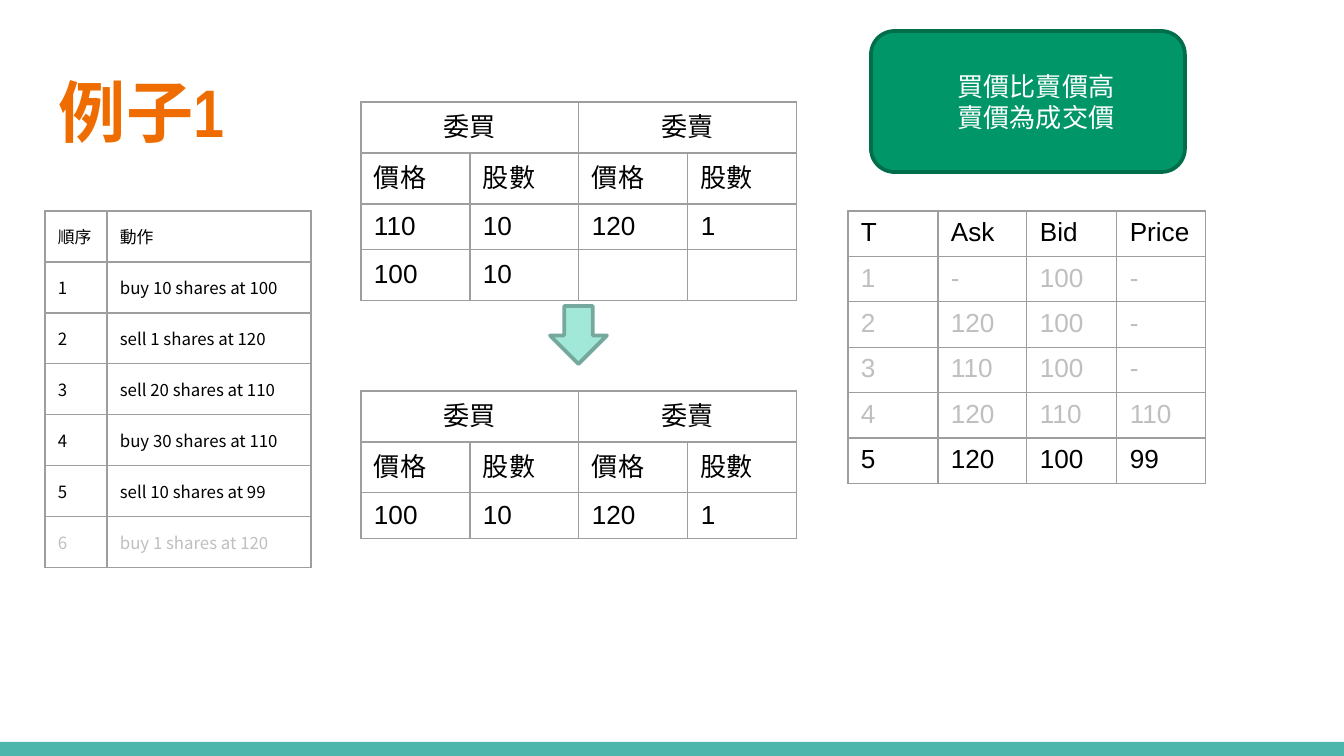
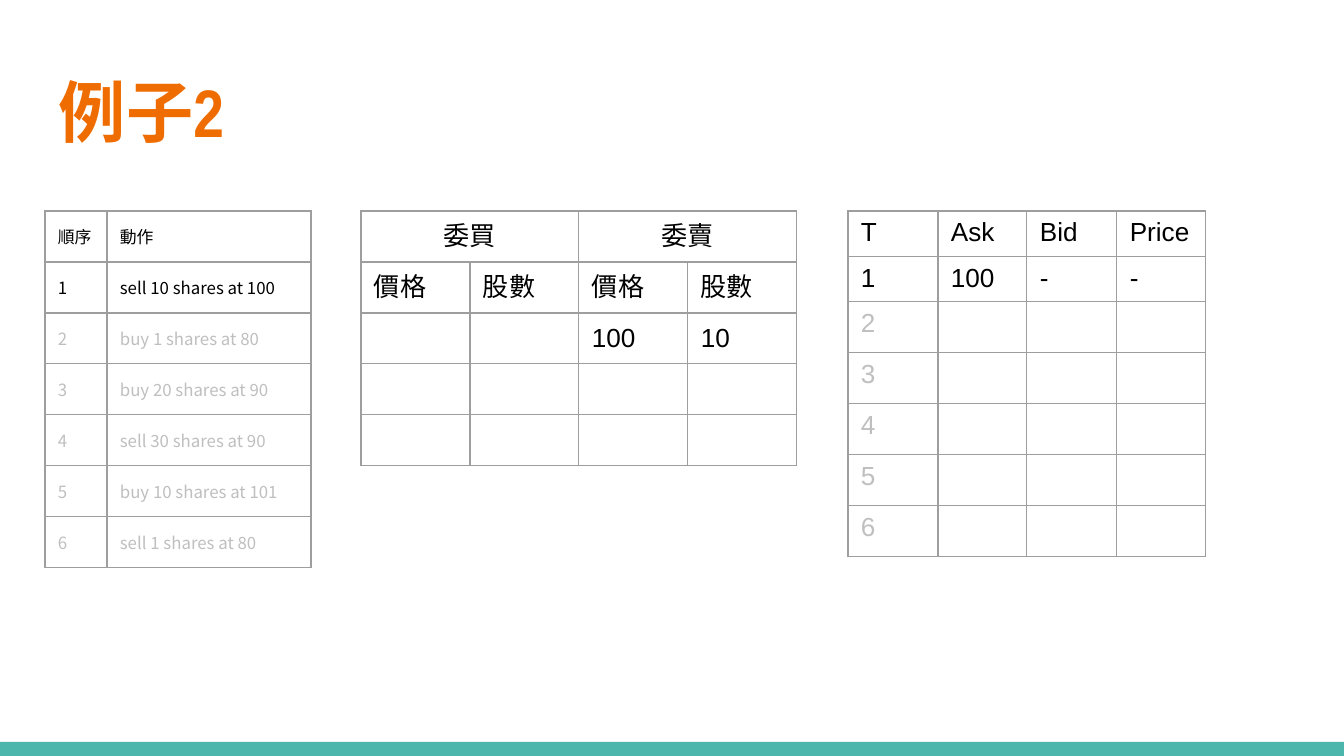
from dataclasses import dataclass

from lxml import etree
from pptx import Presentation
from pptx.dml.color import RGBColor
from pptx.enum.shapes import MSO_SHAPE
from pptx.enum.text import MSO_ANCHOR, PP_ALIGN
from pptx.oxml.ns import qn
from pptx.util import Emu, Pt

PX = 914400 / 134.4
PAGE_WIDTH, PAGE_HEIGHT = 1344, 756
BAND_HEIGHT = 14
MARGIN, NARROW_MARGIN = 13, 7

RECTANGLE = MSO_SHAPE.RECTANGLE
ROUNDED = MSO_SHAPE.ROUNDED_RECTANGLE
DOWN_ARROW = MSO_SHAPE.DOWN_ARROW
TOP, MIDDLE = MSO_ANCHOR.TOP, MSO_ANCHOR.MIDDLE
LEFT, CENTER = PP_ALIGN.LEFT, PP_ALIGN.CENTER

SANS, NARROW, CJK = "Arial", "Arial Narrow", "Noto Sans CJK TC"
TEAL, ORANGE, GREEN, DARK_GREEN = "4DB6AC", "EF6C00", "009668", "006D4B"
MINT, DARK_MINT = "A1E8D9", "75A99E"
BLACK, WHITE, MUTED, RULE = "000000", "FFFFFF", "BFBFBF", "9E9E9E"

BOOK_HEADER = [["委買", "", "委賣", ""], ["價格", "股數", "價格", "股數"]]
QUOTE_HEADER = ["T", "Ask", "Bid", "Price"]


@dataclass(frozen=True)
class TableStyle:
    left: int
    columns: tuple[int, ...]
    filled_row: int
    header_row: int
    header_rows: int
    font: str
    size: int
    anchor: MSO_ANCHOR
    vertical_margin: int
    paired_header: bool = False


BLANK_ROW = 51
ORDERS = TableStyle(45, (62, 204), 51, 51, 1, CJK, 9, MIDDLE, MARGIN)
BOOK = TableStyle(361, (109,) * 4, 45, 51, 2, SANS, 14, MIDDLE, NARROW_MARGIN, True)
QUOTES = TableStyle(848, (90, 89, 90, 89), 43, 43, 1, SANS, 14, TOP, NARROW_MARGIN)


@dataclass(frozen=True)
class Grid:
    style: TableStyle
    top: int
    rows: list[list[str]]
    muted: range = range(0)


@dataclass(frozen=True)
class Figure:
    kind: MSO_SHAPE
    left: int
    top: int
    width: int
    height: int
    fill: str
    line: str | None = None
    lines: tuple[str, ...] = ()


@dataclass(frozen=True)
class Example:
    title: str
    grids: list[Grid]
    figures: tuple[Figure, ...] = ()


BAND = Figure(RECTANGLE, 0, PAGE_HEIGHT - BAND_HEIGHT, PAGE_WIDTH, BAND_HEIGHT, TEAL)


def px(value: int) -> Emu:
    return Emu(round(value * PX))


def color(value: str) -> RGBColor:
    return RGBColor.from_string(value)


def numbered(header: list[str], actions: list[str]) -> list[list[str]]:
    return [header] + [[str(n), action] for n, action in enumerate(actions, 1)]


def write(para, text: str, *, font: str, size: int, fill: str,
          bold: bool = False, align: PP_ALIGN = LEFT) -> None:
    """Put one formatted run, or a sized empty line, in a paragraph."""
    para.alignment = align
    if not text:
        etree.SubElement(para._p, qn("a:endParaRPr"), sz=str(size * 100))
        return
    span = para.add_run()
    span.text = text
    span.font.size = Pt(size)
    span.font.bold = bold
    span.font.color.rgb = color(fill)
    span.font.name = font
    etree.SubElement(span._r.get_or_add_rPr(), qn("a:ea"), typeface=font)


def set_margins(target, horizontal: int, vertical: int) -> None:
    """Set the inner margins of a cell or a text frame."""
    target.margin_left = target.margin_right = px(horizontal)
    target.margin_top = target.margin_bottom = px(vertical)


def draw_borders(cell) -> None:
    properties = cell._tc.get_or_add_tcPr()
    for side in ("lnL", "lnR", "lnT", "lnB"):
        border = etree.SubElement(properties, qn(f"a:{side}"), w=str(Pt(0.75)))
        solid = etree.SubElement(border, qn("a:solidFill"))
        etree.SubElement(solid, qn("a:srgbClr"), val=RULE)


def row_height(style: TableStyle, index: int, texts: list[str]) -> int:
    if index < style.header_rows:
        return style.header_row
    return style.filled_row if all(texts) else BLANK_ROW


def draw_grid(page, grid: Grid) -> None:
    style = grid.style
    heights = [row_height(style, i, texts) for i, texts in enumerate(grid.rows)]
    table = page.shapes.add_table(
        len(grid.rows), len(style.columns), px(style.left), px(grid.top),
        px(sum(style.columns)), px(sum(heights))).table
    table.first_row = table.horz_banding = False
    for column, width in zip(table.columns, style.columns):
        column.width = px(width)
    for i, texts in enumerate(grid.rows):
        table.rows[i].height = px(heights[i])
        paired = style.paired_header and i == 0
        for j, text in enumerate(texts):
            cell = table.cell(i, j)
            draw_borders(cell)
            cell.fill.background()
            cell.vertical_anchor = style.anchor
            set_margins(cell, MARGIN, style.vertical_margin)
            write(cell.text_frame.paragraphs[0], text, font=style.font,
                  size=style.size, fill=MUTED if i in grid.muted else BLACK,
                  align=CENTER if paired else LEFT)
        if paired:
            for j in range(0, len(texts), 2):
                table.cell(i, j).merge(table.cell(i, j + 1))


def draw_figure(page, figure: Figure) -> None:
    shape = page.shapes.add_shape(figure.kind, px(figure.left), px(figure.top),
                                  px(figure.width), px(figure.height))
    shape.shadow.inherit = False
    shape.fill.solid()
    shape.fill.fore_color.rgb = color(figure.fill)
    if figure.line:
        shape.line.color.rgb = color(figure.line)
        shape.line.width = Pt(2)
    else:
        shape.line.fill.background()
    frame = shape.text_frame
    frame.vertical_anchor = MIDDLE
    set_margins(frame, MARGIN, NARROW_MARGIN)
    for i, text in enumerate(figure.lines):
        para = frame.add_paragraph() if i else frame.paragraphs[0]
        para._p.get_or_add_pPr().set("marL", str(px(16)))
        write(para, text, font=CJK, size=14, fill=WHITE, align=CENTER)


def draw_title(page, text: str) -> None:
    box = page.shapes.add_textbox(px(46), px(66), px(1252), px(103))
    frame = box.text_frame
    frame.word_wrap = True
    frame.vertical_anchor = TOP
    set_margins(frame, MARGIN, MARGIN)
    para = frame.paragraphs[0]
    para.line_spacing = 0.9
    write(para, text, font=NARROW, size=36, fill=ORANGE, bold=True)


EXAMPLES = [
    Example(
        "例子1",
        [
            Grid(ORDERS, 211, numbered(["順序", "動作"], [
                "buy 10 shares at 100", "sell 1 shares at 120",
                "sell 20 shares at 110", "buy 30 shares at 110",
                "sell 10 shares at 99", "buy 1 shares at 120",
            ]), muted=range(6, 7)),
            Grid(BOOK, 102, BOOK_HEADER + [
                ["110", "10", "120", "1"],
                ["100", "10", "", ""],
            ]),
            Grid(BOOK, 391, BOOK_HEADER + [["100", "10", "120", "1"]]),
            Grid(QUOTES, 211, [
                QUOTE_HEADER,
                ["1", "-", "100", "-"],
                ["2", "120", "100", "-"],
                ["3", "110", "100", "-"],
                ["4", "120", "110", "110"],
                ["5", "120", "100", "99"],
            ], muted=range(1, 5)),
        ],
        (
            Figure(DOWN_ARROW, 550, 306, 57, 58, MINT, DARK_MINT),
            Figure(ROUNDED, 871, 31, 314, 141, GREEN, DARK_GREEN,
                   ("買價比賣價高", "賣價為成交價")),
        ),
    ),
    Example(
        "例子2",
        [
            Grid(ORDERS, 211, numbered(["順序", "動作"], [
                "sell 10 shares at 100", "buy 1 shares at 80",
                "buy 20 shares at 90", "sell 30 shares at 90",
                "buy 10 shares at 101", "sell 1 shares at 80",
            ]), muted=range(2, 7)),
            Grid(BOOK, 211, BOOK_HEADER + [["", "", "100", "10"]] + [[""] * 4] * 2),
            Grid(QUOTES, 211, [QUOTE_HEADER, ["1", "100", "-", "-"]]
                 + [[str(n), "", "", ""] for n in range(2, 7)], muted=range(2, 7)),
        ],
    ),
]


def main() -> None:
    deck = Presentation()
    deck.slide_width, deck.slide_height = px(PAGE_WIDTH), px(PAGE_HEIGHT)
    for example in EXAMPLES:
        page = deck.slides.add_slide(deck.slide_layouts[6])
        draw_figure(page, BAND)
        draw_title(page, example.title)
        for grid in example.grids:
            draw_grid(page, grid)
        for figure in example.figures:
            draw_figure(page, figure)
    deck.save("out.pptx")


if __name__ == "__main__":
    main()
